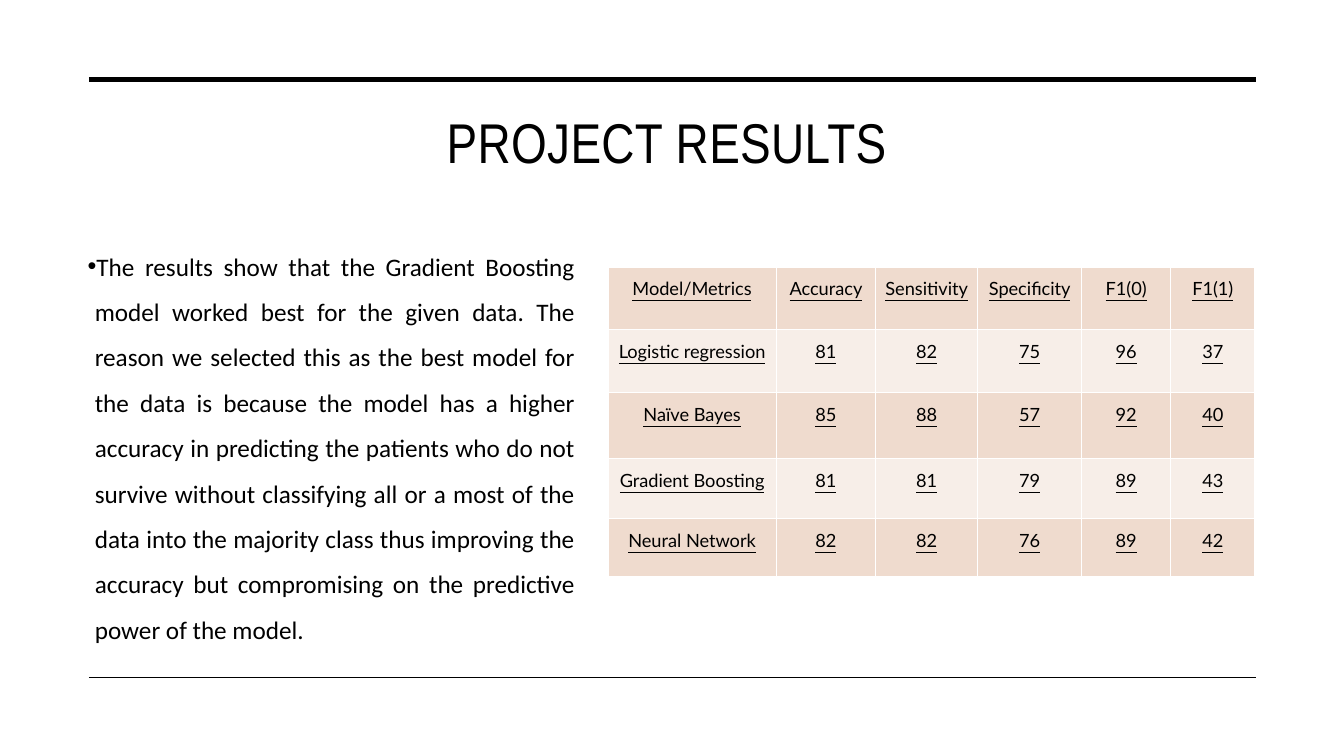
"""Build the project results slide with its summary and model metrics table."""
from dataclasses import dataclass

from lxml import etree
from pptx import Presentation
from pptx import util as u
from pptx.dml.color import RGBColor
from pptx.enum import shapes, text
from pptx.oxml import ns

TITLE = "PROJECT RESULTS"
SUMMARY = (
    "The results show that the Gradient Boosting model worked best for the given data. "
    "The reason we selected this as the best model for the data is because the model has "
    "a higher accuracy in predicting the patients who do not survive without classifying "
    "all or a most of the data into the majority class thus improving the accuracy but "
    "compromising on the predictive power of the model."
)
METRICS = [
    ("Model/Metrics", "Accuracy", "Sensitivity", "Specificity", "F1(0)", "F1(1)"),
    ("Logistic regression", 81, 82, 75, 96, 37),
    ("Naïve Bayes", 85, 88, 57, 92, 40),
    ("Gradient Boosting", 81, 81, 79, 89, 43),
    ("Neural Network", 82, 82, 76, 89, 42),
]
COLUMN_WIDTHS = (4.24, 2.51, 2.57, 2.62, 2.24, 2.13)
ROW_HEIGHTS = (1.57, 1.6, 1.65, 1.52, 1.47)
RULES = [(2.01, 3.5), (17.07, 1)]
RULE_LEFT, RULE_RIGHT = 2.24, 31.65
TITLE_BOX = (1.96, 2.57, 29.69, 2.67)
SUMMARY_BOX = (1.96, 5.82, 12.78, 10.64)
TABLE_LEFT, TABLE_TOP = 15.32, 6.73


@dataclass(frozen=True)
class Theme:
    """Colours, fonts and type sizes of the slide."""

    ink: str = "000000"
    border: str = "FFFFFF"
    bands: tuple = ("EFDBCE", "F7EEE8")
    title: tuple = ("Arial Narrow", 40)
    body: tuple = ("Calibri", 18)
    table: tuple = ("Lato", 13)


THEME = Theme()


def set_font(para, style):
    """Apply a font name, its size and the ink colour to a paragraph."""
    name, size = style
    para.font.name = name
    para.font.size = u.Pt(size)
    para.font.color.rgb = RGBColor.from_string(THEME.ink)


def add_rule(page, top, weight):
    """Draw a horizontal rule across the page."""
    rule = page.shapes.add_connector(
        shapes.MSO_CONNECTOR.STRAIGHT,
        u.Cm(RULE_LEFT), u.Cm(top), u.Cm(RULE_RIGHT), u.Cm(top),
    )
    rule.line.color.rgb = RGBColor.from_string(THEME.ink)
    rule.line.width = u.Pt(weight)
    etree.SubElement(rule.element.spPr, ns.qn("a:effectLst"))


def add_title(page):
    """Place and format the title."""
    box = page.shapes.title
    box.left, box.top, box.width, box.height = map(u.Cm, TITLE_BOX)
    box.text_frame.text = TITLE
    box.text_frame.auto_size = text.MSO_AUTO_SIZE.NONE
    box.text_frame.vertical_anchor = text.MSO_ANCHOR.TOP
    para = box.text_frame.paragraphs[0]
    para.alignment = text.PP_ALIGN.CENTER
    set_font(para, THEME.title)
    para.runs[0].font._element.set("spc", "30")


def add_summary(page):
    """Write the justified, bulleted summary."""
    frame = page.shapes.add_textbox(*map(u.Cm, SUMMARY_BOX)).text_frame
    frame.word_wrap = True
    para = frame.paragraphs[0]
    para.text = SUMMARY
    para.alignment = text.PP_ALIGN.JUSTIFY
    para.line_spacing = 1.5
    para.space_before, para.space_after = u.Pt(10), u.Pt(8)
    set_font(para, THEME.body)
    props = para._p.get_or_add_pPr()
    props.set("marL", str(u.Cm(0.18)))
    props.set("indent", str(u.Cm(-0.64)))
    bullet_font = etree.Element(ns.qn("a:buFont"), typeface="Arial")
    bullet = etree.Element(ns.qn("a:buChar"), char="•")
    props.find(ns.qn("a:spcAft")).addnext(bullet_font)
    bullet_font.addnext(bullet)


def add_borders(cell):
    """Outline a table cell with thin lines."""
    props = cell._tc.get_or_add_tcPr()
    for index, side in enumerate(("lnL", "lnR", "lnT", "lnB")):
        line = etree.Element(ns.qn(f"a:{side}"), w=str(u.Pt(1)))
        fill = etree.SubElement(line, ns.qn("a:solidFill"))
        etree.SubElement(fill, ns.qn("a:srgbClr"), val=THEME.border)
        props.insert(index, line)


def fill_cell(cell, value, band):
    """Write and format one table cell."""
    cell.fill.solid()
    cell.fill.fore_color.rgb = RGBColor.from_string(band)
    cell.margin_left = cell.margin_right = u.Cm(0.18)
    cell.margin_top = cell.margin_bottom = 0
    cell.text = str(value)
    para = cell.text_frame.paragraphs[0]
    para.alignment = text.PP_ALIGN.CENTER
    para.line_spacing = 1.5
    para.space_after = u.Pt(15.2)
    set_font(para, THEME.table)
    para.font.underline = True
    para.runs[0].font.underline = True
    add_borders(cell)


def add_metrics(page):
    """Build the table of model metrics."""
    table = page.shapes.add_table(
        len(METRICS), len(COLUMN_WIDTHS), u.Cm(TABLE_LEFT), u.Cm(TABLE_TOP),
        u.Cm(sum(COLUMN_WIDTHS)), u.Cm(sum(ROW_HEIGHTS)),
    ).table
    table.first_row = table.horz_banding = False
    for column, width in zip(table.columns, COLUMN_WIDTHS):
        column.width = u.Cm(width)
    for index, (row, height, values) in enumerate(zip(table.rows, ROW_HEIGHTS, METRICS)):
        row.height = u.Cm(height)
        for cell, value in zip(row.cells, values):
            fill_cell(cell, value, THEME.bands[index % 2])


def main():
    """Assemble and save the deck."""
    deck = Presentation()
    deck.slide_width, deck.slide_height = u.Cm(33.87), u.Cm(19.05)
    page = deck.slides.add_slide(deck.slide_layouts[5])
    for top, weight in RULES:
        add_rule(page, top, weight)
    add_title(page)
    add_summary(page)
    add_metrics(page)
    deck.save("out.pptx")


if __name__ == "__main__":
    main()
